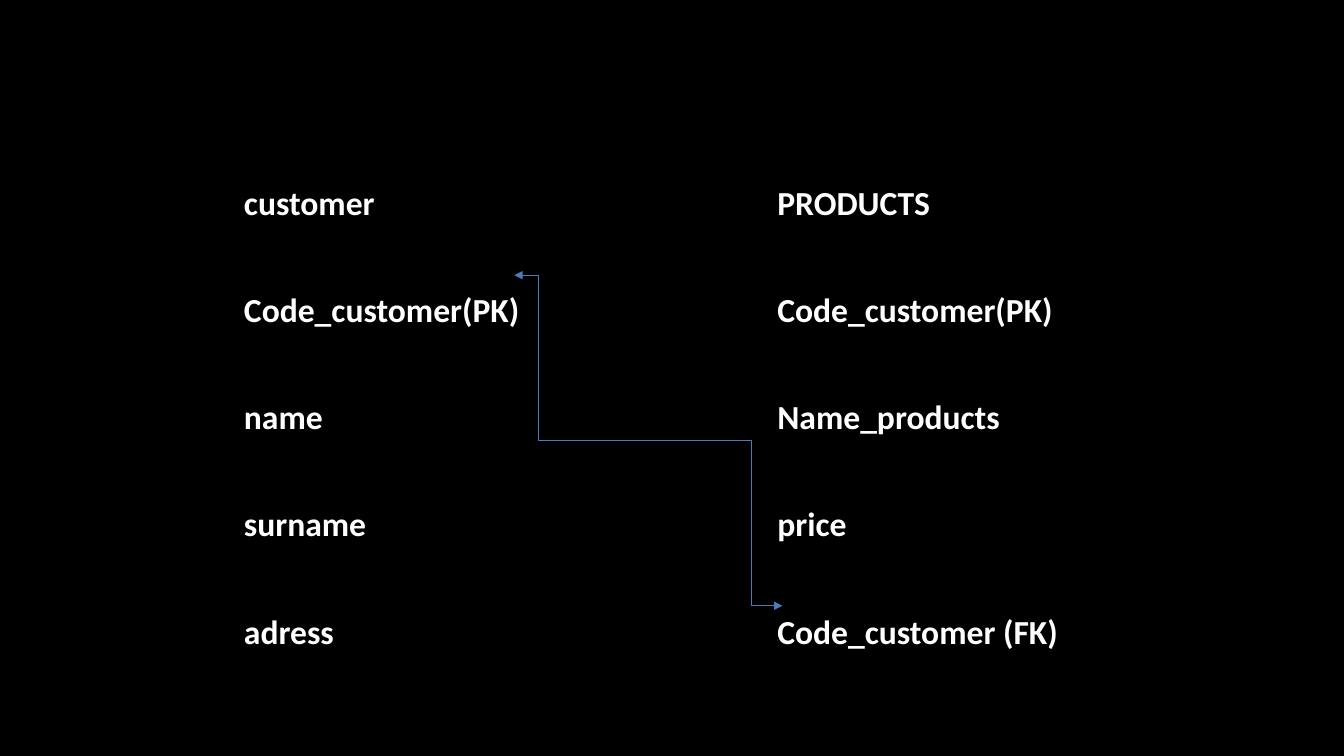
import pptx
import pptx.util
import pptx.dml.color
import pptx.enum.shapes
import pptx.enum.text
import pptx.oxml
import pptx.oxml.ns

Inches = pptx.util.Inches
Pt = pptx.util.Pt
BLACK = pptx.dml.color.RGBColor(0x00, 0x00, 0x00)
WHITE = pptx.dml.color.RGBColor(0xFF, 0xFF, 0xFF)
BLUE = pptx.dml.color.RGBColor(0x4A, 0x7E, 0xBB)
CONNECTOR = pptx.enum.shapes.MSO_CONNECTOR

COLUMN_WIDTHS = (2.79, 2.5, 2.96)
FIELDS = (
    ("customer", "", "PRODUCTS"),
    ("Code_customer(PK)", "", "Code_customer(PK)"),
    ("name", "", "Name_products"),
    ("surname", "", "price"),
    ("adress", "", "Code_customer (FK)"),
)


def write_text(frame, text, size=24, font="Calibri", color=WHITE, bold=True, spacing=1.02):
    paragraph = frame.paragraphs[0]
    paragraph.line_spacing = spacing
    run = paragraph.add_run()
    run.text = text
    run.font.size = Pt(size)
    run.font.name = font
    run.font.bold = bold
    run.font.color.rgb = color


def outline_cell(cell, color, width):
    properties = cell._tc.get_or_add_tcPr()
    for side in "LRTB":
        properties.append(pptx.oxml.parse_xml(
            f'<a:ln{side} {pptx.oxml.ns.nsdecls("a")} w="{Pt(width)}">'
            f'<a:solidFill><a:srgbClr val="{color}"/></a:solidFill></a:ln{side}>'))


def add_fields(slide, left, top, width, height):
    fields = slide.shapes.add_table(
        len(FIELDS), len(COLUMN_WIDTHS),
        Inches(left), Inches(top), Inches(width), Inches(height)).table
    fields.first_row = False
    fields.horz_banding = False
    for column, column_width in zip(fields.columns, COLUMN_WIDTHS):
        column.width = Inches(column_width)
    for row, names in enumerate(FIELDS):
        for column, name in enumerate(names):
            cell = fields.cell(row, column)
            outline_cell(cell, BLACK, 0.23)
            cell.fill.background()
            cell.vertical_anchor = pptx.enum.text.MSO_ANCHOR.BOTTOM
            cell.margin_left = cell.margin_right = cell.margin_top = Inches(0.01)
            cell.margin_bottom = 0
            if name:
                write_text(cell.text_frame, name)


def add_link(slide, kind, start, end, arrow=False):
    link = slide.shapes.add_connector(kind, *map(Inches, start + end))
    link.line.color.rgb = BLUE
    link.line.width = Pt(0.75)
    if arrow:
        link.line._get_or_add_ln().append(pptx.oxml.parse_xml(
            f'<a:tailEnd {pptx.oxml.ns.nsdecls("a")} type="triangle"/>'))
    link._element.spPr.append(pptx.oxml.parse_xml(
        f'<a:effectLst {pptx.oxml.ns.nsdecls("a")}/>'))
    return link


def add_relation(slide, left, top, width, height):
    right, bottom = left + width, top + height
    center_x, center_y = left + width / 2, top + height / 2
    route = add_link(
        slide, CONNECTOR.ELBOW,
        (center_x + height / 2, center_y - width / 2),
        (center_x - height / 2, center_y + width / 2))
    route._element.spPr.xfrm.set("rot", str(270 * 60000))
    add_link(slide, CONNECTOR.STRAIGHT, (left, top), (left - 0.24, top), arrow=True)
    add_link(slide, CONNECTOR.STRAIGHT, (right, bottom), (right + 0.31, bottom), arrow=True)


def main():
    deck = pptx.Presentation()
    deck.slide_width = Inches(13.33)
    deck.slide_height = Inches(7.5)
    slide = deck.slides.add_slide(deck.slide_layouts[6])
    slide.background.fill.solid()
    slide.background.fill.fore_color.rgb = BLACK
    add_fields(slide, 2.41, 1.17, sum(COLUMN_WIDTHS), 5.31)
    add_relation(slide, 5.34, 2.73, 2.11, 3.28)
    deck.save("out.pptx")


if __name__ == "__main__":
    main()
